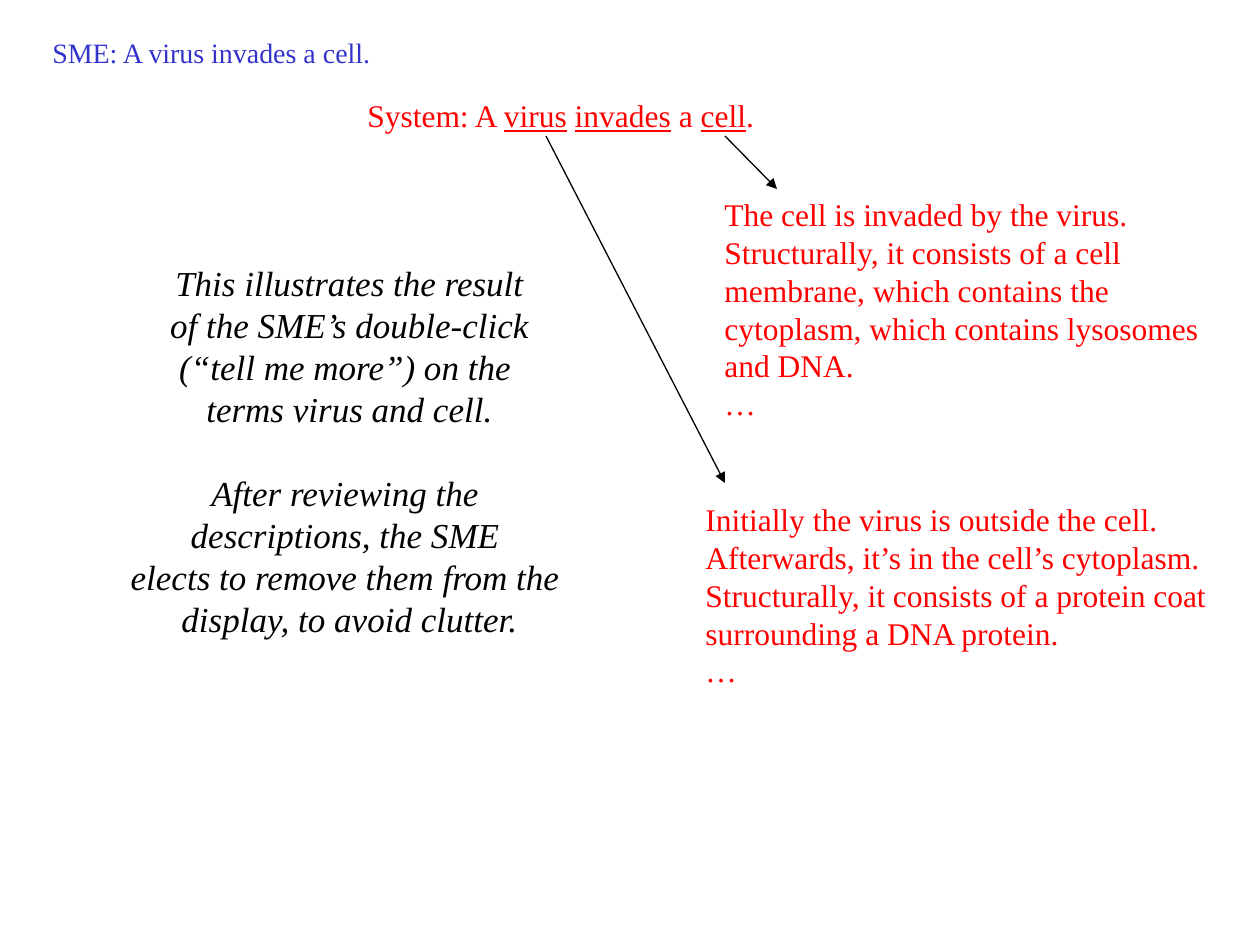
import pptx
import pptx.dml.color
import pptx.enum.shapes
import pptx.enum.text
import pptx.oxml.ns
import pptx.util
from lxml import etree

PX = 914400 // 126
FONT = "Times New Roman"
BLUE, RED, BLACK = "3333CC", "FF0000", "000000"
LINE_PITCH = 1.2

STATEMENT = ["SME: A virus invades a cell."]
ECHO = [[("System: A ", False), ("virus", True), (" ", False), ("invades", True),
         (" a ", False), ("cell", True), (".", False)]]
CELL_DETAILS = [
    "The cell is invaded by the virus.",
    "Structurally, it consists of a cell",
    "membrane, which contains the",
    "cytoplasm, which contains lysosomes",
    "and DNA.",
    "…",
]
VIRUS_DETAILS = [
    "Initially the virus is outside the cell.",
    "Afterwards, it’s in the cell’s cytoplasm.",
    "Structurally, it consists of a protein coat",
    "surrounding a DNA protein.",
    "…",
]
COMMENTARY = [
    "This illustrates the result",
    "of the SME’s double-click",
    "(“tell me more”) on the ",
    "terms virus and cell.",
    "After reviewing the ",
    "descriptions, the SME ",
    "elects to remove them from the ",
    "display, to avoid clutter.",
]
SECOND_THOUGHT = COMMENTARY.index("After reviewing the ")

ARROWS = {
    "virus": ((546, 136), (725, 483)),
    "cell": ((725, 136), (777, 189)),
}


def color(value):
    return pptx.dml.color.RGBColor.from_string(value)


def add_text(slide, box, lines, size, fill, italic=False, centered=False, gap_at=None):
    shape = slide.shapes.add_textbox(*(length * PX for length in box))
    frame = shape.text_frame
    frame.word_wrap = False
    frame.auto_size = pptx.enum.text.MSO_AUTO_SIZE.SHAPE_TO_FIT_TEXT
    pitch = pptx.util.Pt(size * LINE_PITCH)
    for index, line in enumerate(lines):
        paragraph = frame.add_paragraph() if index else frame.paragraphs[0]
        paragraph.line_spacing = pitch
        if index == gap_at:
            paragraph.space_before = pitch
        if centered:
            paragraph.alignment = pptx.enum.text.PP_ALIGN.CENTER
        for text, underlined in [(line, False)] if isinstance(line, str) else line:
            run = paragraph.add_run()
            run.text = text
            font = run.font
            font.name, font.size = FONT, pptx.util.Pt(size)
            font.italic, font.underline = italic, underlined
            font.color.rgb = color(fill)


def add_arrow(slide, start, end):
    connector = slide.shapes.add_connector(
        pptx.enum.shapes.MSO_CONNECTOR.STRAIGHT,
        *(length * PX for length in start + end))
    connector.line.color.rgb = color(BLACK)
    connector.line.width = pptx.util.Pt(0.75)
    qn = pptx.oxml.ns.qn
    etree.SubElement(connector.line._get_or_add_ln(), qn("a:tailEnd"), type="triangle")
    etree.SubElement(connector._element.spPr, qn("a:effectLst"))


def main():
    """Build the slide on the system's reply to the SME's statement."""
    presentation = pptx.Presentation()
    presentation.slide_width, presentation.slide_height = 1260 * PX, 945 * PX
    slide = presentation.slides.add_slide(presentation.slide_layouts[6])
    add_text(slide, (40, 29, 347, 47), STATEMENT, 16, BLUE)
    add_text(slide, (693, 494, 536, 202), VIRUS_DETAILS, 18, RED)
    add_arrow(slide, *ARROWS["virus"])
    add_text(slide, (355, 90, 415, 50), ECHO, 18, RED)
    add_text(slide, (712, 189, 499, 239), CELL_DETAILS, 18, RED)
    add_arrow(slide, *ARROWS["cell"])
    add_text(slide, (117, 255, 465, 391), COMMENTARY, 20, BLACK,
             italic=True, centered=True, gap_at=SECOND_THOUGHT)
    presentation.save("out.pptx")


if __name__ == "__main__":
    main()
